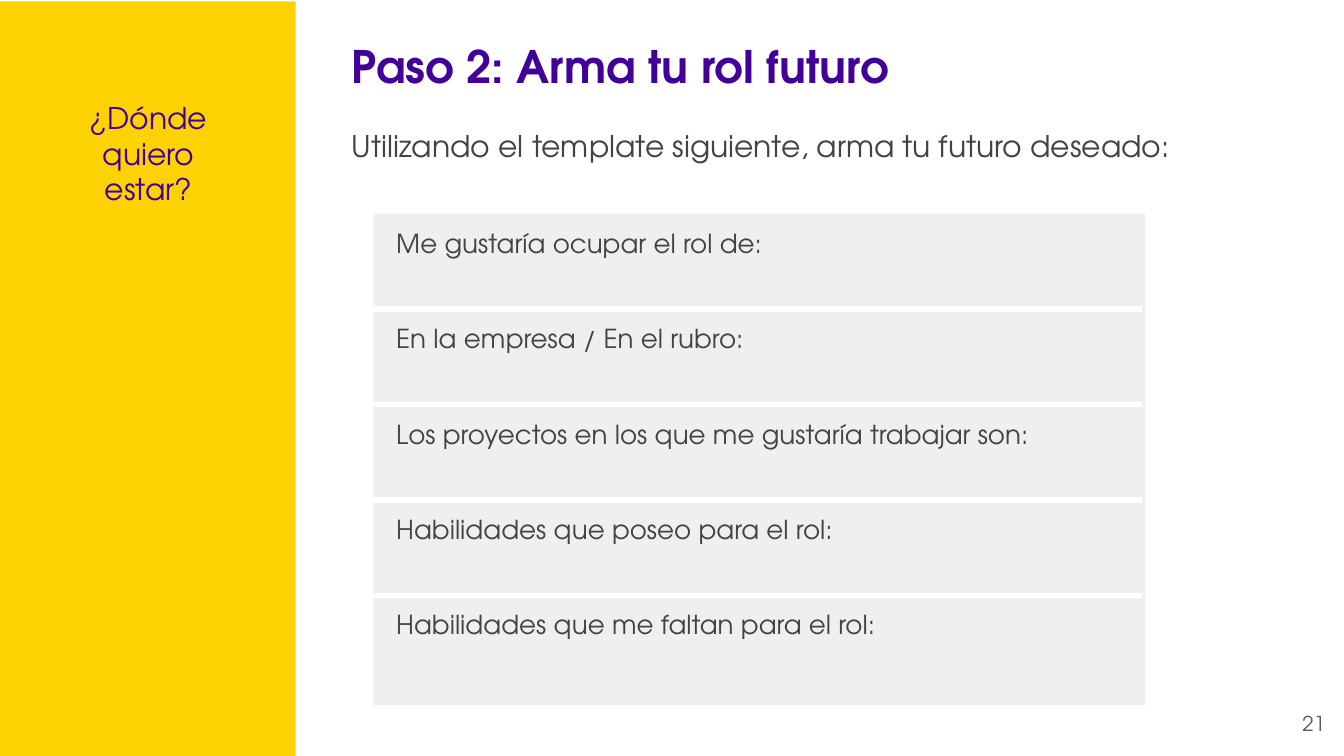
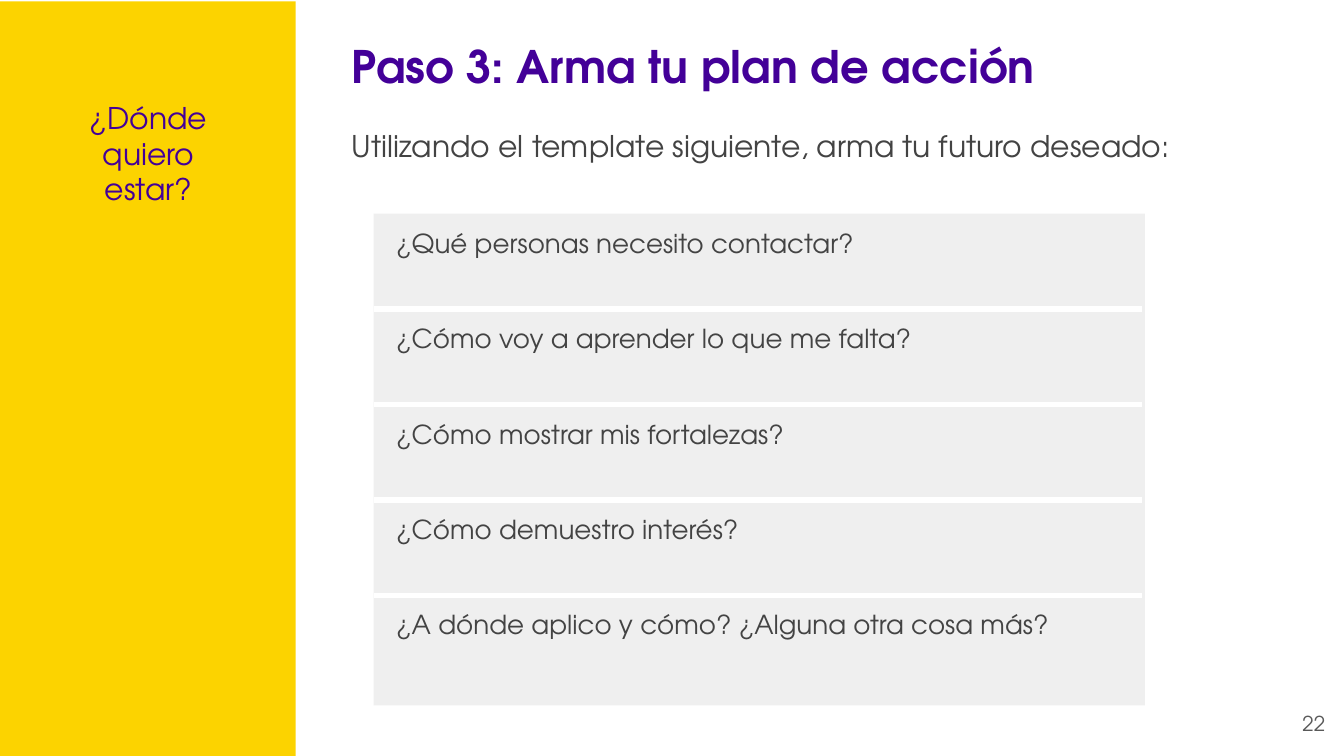
from dataclasses import dataclass

from pptx import Presentation
from pptx.dml.color import RGBColor
from pptx.enum.shapes import MSO_CONNECTOR as Connector, MSO_SHAPE as ShapeType
from pptx.enum.text import MSO_ANCHOR as Anchor, MSO_AUTO_SIZE as AutoSize, PP_ALIGN as Align
from pptx.oxml.ns import qn
from pptx.presentation import Presentation as Deck
from pptx.shapes.autoshape import Shape
from pptx.slide import Slide
from pptx.util import Inches, Pt
from lxml.etree import SubElement

FONT = "TeX Gyre Adventor"
YELLOW = "FCD300"
PURPLE = "430098"
DARK_GRAY = "434343"
NUMBER_GRAY = "595959"
PANEL_GRAY = "EFEFEF"
WHITE = "FFFFFF"

SLIDE_WIDTH = 10
SLIDE_HEIGHT = SLIDE_WIDTH * 9 / 16
TITLE_ONLY = 5
FIRST_NUMBER = 21
SECTION = "¿Dónde quiero estar?"
INSTRUCTION = "Utilizando el template siguiente, arma tu futuro deseado:"

PANEL_LEFT = 2.78
PANEL_TOP = 1.59
ROW_PITCH = 0.71


@dataclass(frozen=True)
class Box:
    left: float
    top: float
    width: float
    height: float


@dataclass(frozen=True)
class TextStyle:
    size: int
    color: str
    bold: bool = False
    align: Align = Align.LEFT


@dataclass(frozen=True)
class Worksheet:
    heading: str
    prompts: tuple[str, ...]


SECTION_STYLE = TextStyle(16, PURPLE, align=Align.CENTER)
HEADING_STYLE = TextStyle(24, PURPLE, bold=True)
INSTRUCTION_STYLE = TextStyle(16, DARK_GRAY)
PROMPT_STYLE = TextStyle(14, DARK_GRAY)
NUMBER_STYLE = TextStyle(11, NUMBER_GRAY, align=Align.RIGHT)

WORKSHEETS = (
    Worksheet("Paso 2: Arma tu rol futuro", (
        "Me gustaría ocupar el rol de:",
        "En la empresa / En el rubro:",
        "Los proyectos en los que me gustaría trabajar son:",
        "Habilidades que poseo para el rol:",
        "Habilidades que me faltan para el rol:",
    )),
    Worksheet("Paso 3: Arma tu plan de acción", (
        "¿Qué personas necesito contactar?",
        "¿Cómo voy a aprender lo que me falta?",
        "¿Cómo mostrar mis fortalezas?",
        "¿Cómo demuestro interés?",
        "¿A dónde aplico y cómo? ¿Alguna otra cosa más?",
    )),
)


def rgb(color: str) -> RGBColor:
    return RGBColor.from_string(color)


def write_text(shape: Shape, text: str, style: TextStyle) -> None:
    frame = shape.text_frame
    frame.text = text
    frame.word_wrap = True
    frame.auto_size = AutoSize.NONE
    frame.vertical_anchor = Anchor.TOP
    frame.margin_left = frame.margin_right = Inches(0.1)
    frame.margin_top = frame.margin_bottom = Inches(0.1)
    paragraph = frame.paragraphs[0]
    paragraph.alignment = style.align
    paragraph.font.name = FONT
    paragraph.font.size = Pt(style.size)
    paragraph.font.bold = style.bold
    paragraph.font.color.rgb = rgb(style.color)


def add_text(slide: Slide, box: Box, text: str, style: TextStyle) -> None:
    shape = slide.shapes.add_textbox(
        Inches(box.left), Inches(box.top), Inches(box.width), Inches(box.height))
    write_text(shape, text, style)


def add_rectangle(slide: Slide, box: Box, color: str) -> Shape:
    shape = slide.shapes.add_shape(
        ShapeType.RECTANGLE,
        Inches(box.left), Inches(box.top), Inches(box.width), Inches(box.height))
    shape.shadow.inherit = False
    shape.fill.solid()
    shape.fill.fore_color.rgb = rgb(color)
    shape.line.fill.background()
    return shape


def add_divider(slide: Slide, top: float) -> None:
    line = slide.shapes.add_connector(
        Connector.STRAIGHT, Inches(PANEL_LEFT), Inches(top), Inches(8.5), Inches(top))
    line.line.color.rgb = rgb(WHITE)
    line.line.width = Pt(3)
    SubElement(line.element.spPr, qn("a:effectLst"))


def add_section_band(slide: Slide) -> None:
    title = slide.shapes.title
    band = add_rectangle(slide, Box(0, 0.01, 2.2, 5.62), YELLOW)
    title.element.addprevious(band.element)
    title.left, title.top = Inches(0.32), Inches(0.64)
    title.width, title.height = Inches(1.57), Inches(1.66)
    write_text(title, SECTION, SECTION_STYLE)


def add_prompts(slide: Slide, prompts: tuple[str, ...]) -> None:
    add_rectangle(slide, Box(PANEL_LEFT, PANEL_TOP, 5.74, 3.66), PANEL_GRAY)
    for row, prompt in enumerate(prompts):
        top = PANEL_TOP + row * ROW_PITCH
        add_text(slide, Box(2.85, top, 5.57, 0.43), prompt, PROMPT_STYLE)
        if row:
            add_divider(slide, top)


def add_worksheet(presentation: Deck, worksheet: Worksheet, number: int) -> None:
    slide = presentation.slides.add_slide(presentation.slide_layouts[TITLE_ONLY])
    add_section_band(slide)
    add_text(slide, Box(2.52, 0.19, 6.35, 0.58), worksheet.heading, HEADING_STYLE)
    add_text(slide, Box(2.52, 0.85, 6.8, 0.74), INSTRUCTION, INSTRUCTION_STYLE)
    add_text(slide, Box(9.36, 5.19, 0.6, 0.43), str(number), NUMBER_STYLE)
    add_prompts(slide, worksheet.prompts)


def main() -> None:
    presentation = Presentation()
    presentation.slide_width = Inches(SLIDE_WIDTH)
    presentation.slide_height = Inches(SLIDE_HEIGHT)
    for number, worksheet in enumerate(WORKSHEETS, FIRST_NUMBER):
        add_worksheet(presentation, worksheet, number)
    presentation.save("out.pptx")


if __name__ == "__main__":
    main()
